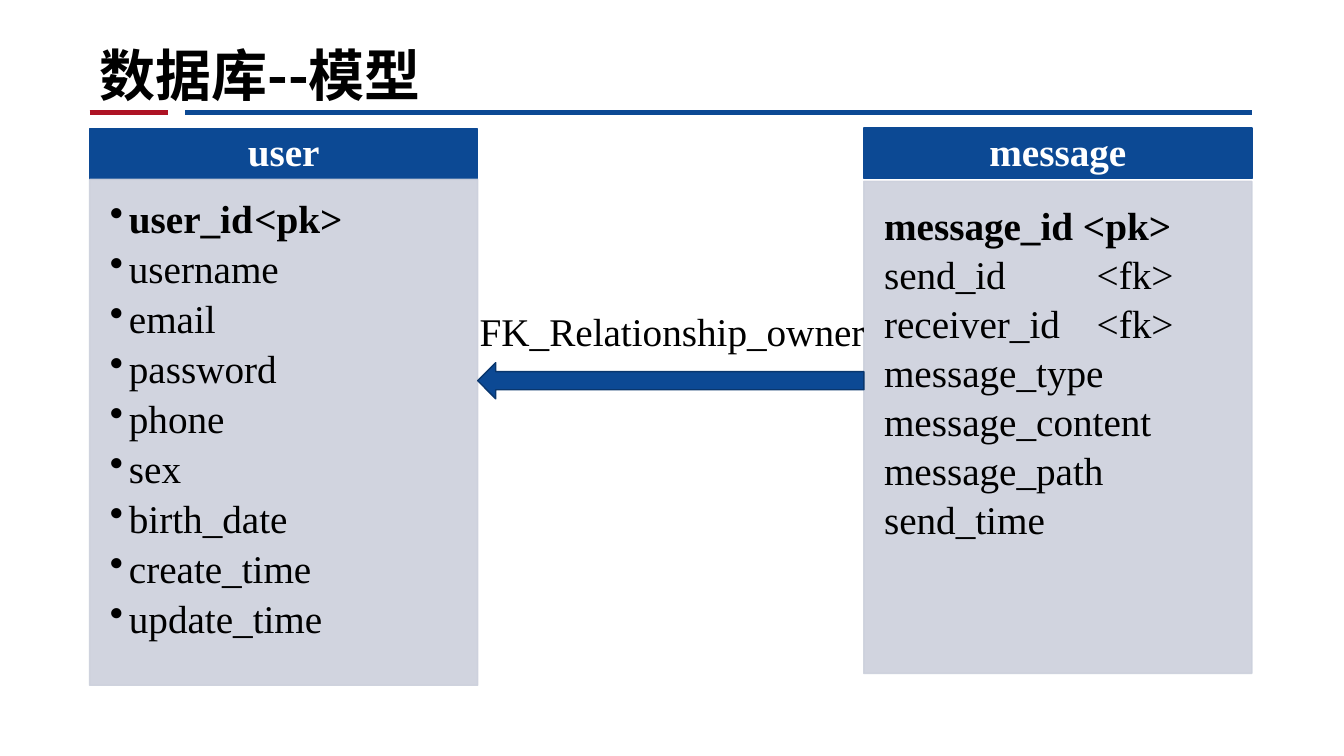
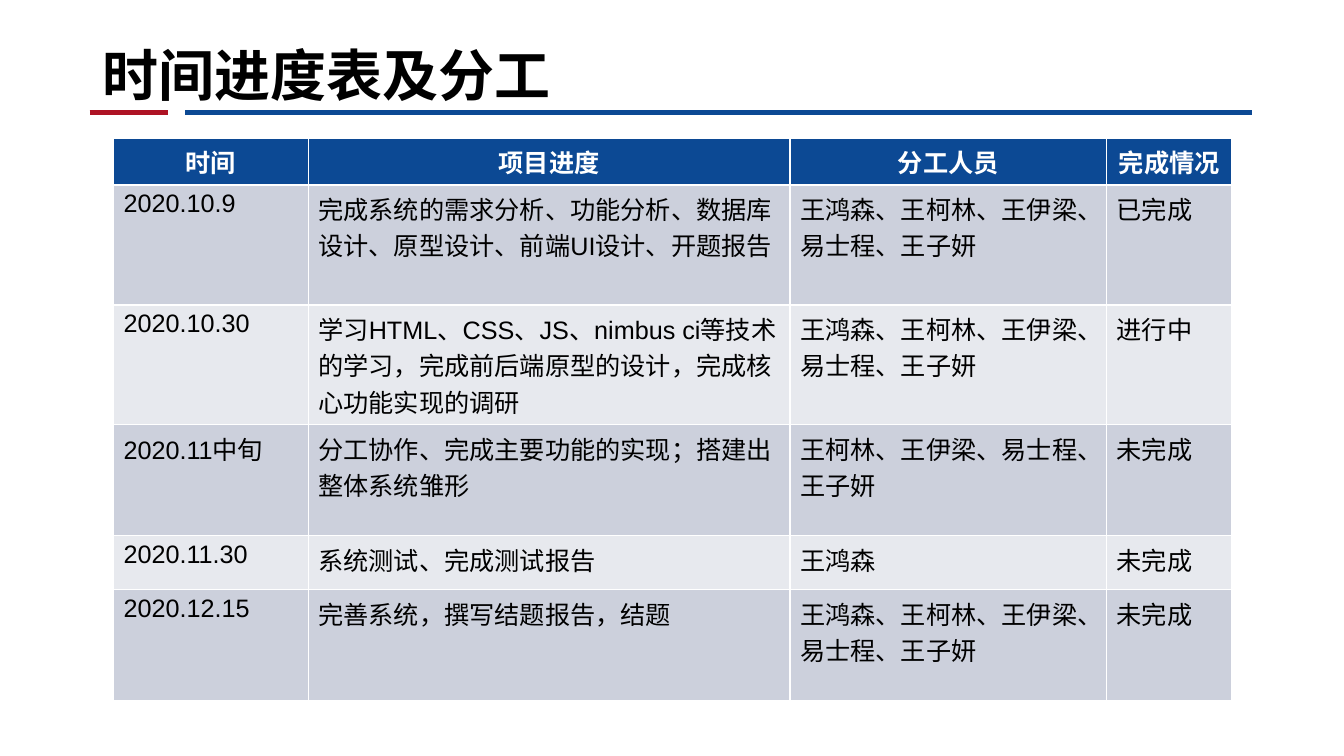
"""Build the database model slide and the schedule slide."""
import pptx
import pptx.util
import pptx.dml.color
import pptx.enum.shapes
import pptx.enum.text
import pptx.oxml.ns
from lxml import etree

Cm, Pt = pptx.util.Cm, pptx.util.Pt
SHAPE = pptx.enum.shapes.MSO_SHAPE
ALIGN = pptx.enum.text.PP_ALIGN
ANCHOR = pptx.enum.text.MSO_ANCHOR
qn = pptx.oxml.ns.qn

COLORS = {"blue": "0C4994", "edge": "09366D", "red": "AE1324", "panel": "CCD0DC",
          "band": "E7E9EE", "white": "FFFFFF", "black": "000000"}
CJK = "Noto Sans CJK SC"
SERIF = "Times New Roman"

RULES = [(2.26, 4.24, "red"), (4.67, 31.55, "blue")]
RULE_Y = 2.84
TITLES = {"model": ("数据库--模型", 2.26, CJK),
          "schedule": ("时间进度表及分工", 2.34, "Roboto Condensed")}

ENTITY_W, HEAD_H = 9.78, 1.27
ENTITIES = [
    {"name": "user", "left": 2.26, "top": 3.25, "body": (4.52, 12.75), "bullet": True,
     "tab": 3.64, "format": {"line_spacing": 0.9, "space_after": Pt(5.5)},
     "fields": ["user_id\t<pk>", "username", "email", "password", "phone", "sex",
                "birth_date", "create_time", "update_time"]},
    {"name": "message", "left": 21.77, "top": 3.23, "body": (4.57, 12.4), "bullet": False,
     "tab": 5.36, "format": {"space_after": Pt(1.4)},
     "fields": ["message_id <pk>", "send_id\t<fk>", "receiver_id\t<fk>", "message_type",
                "message_content", "message_path", "send_time"]},
]
RELATION = "FK_Relationship_owner"

TEAM = "王鸿森、王柯林、王伊梁、易士程、王子妍"
SCHEDULE = [
    ("时间", "项目进度", "分工人员", "完成情况"),
    ("2020.10.9", "完成系统的需求分析、功能分析、数据库设计、原型设计、前端UI设计、开题报告", TEAM, "已完成"),
    ("2020.10.30", "学习HTML、CSS、JS、nimbus ci等技术的学习，完成前后端原型的设计，完成核心功能实现的调研",
     TEAM, "进行中"),
    ("2020.11中旬", "分工协作、完成主要功能的实现；搭建出整体系统雏形", "王柯林、王伊梁、易士程、王子妍", "未完成"),
    ("2020.11.30", "系统测试、完成测试报告", "王鸿森", "未完成"),
    ("2020.12.15", "完善系统，撰写结题报告，结题", TEAM, "未完成"),
]
COL_W = [4.91, 12.14, 7.98, 3.15]
ROW_H = [1.17, 3.02, 3.02, 2.8, 1.36, 2.8]


def rgb(name):
    return pptx.dml.color.RGBColor.from_string(COLORS[name])


def apply(obj, values):
    for key, value in values.items():
        setattr(obj, key, value)


def write(p, text, size, font, color="black", bold=False):
    r = p.add_run()
    r.text = text
    apply(r.font, {"size": Pt(size), "name": font, "bold": bold})
    r.font.color.rgb = rgb(color)
    etree.SubElement(r.font._element, qn("a:ea"), typeface=CJK)


def add_box(s, kind, box, fill, edge, alpha=None):
    sp = s.shapes.add_shape(kind, *map(Cm, box))
    sp.shadow.inherit = False
    sp.fill.solid()
    sp.fill.fore_color.rgb = rgb(fill)
    sp.line.color.rgb = rgb(edge)
    sp.line.width = Pt(1)
    if alpha:
        for clr in sp.element.spPr.iter(qn("a:srgbClr")):
            etree.SubElement(clr, qn("a:alpha"), val=str(alpha * 1000))
    return sp


def add_rules(s, layout):
    for x1, x2, color in RULES:
        c = s.shapes.add_connector(pptx.enum.shapes.MSO_CONNECTOR.STRAIGHT,
                                   Cm(x1), Cm(RULE_Y), Cm(x2), Cm(RULE_Y))
        c.line.color.rgb = rgb(color)
        c.line.width = Pt(3.5)
        etree.SubElement(c.element.spPr, qn("a:effectLst"))
        layout.shapes.element.append(c.element)


def add_slide(prs, layout, key):
    text, left, font = TITLES[key]
    s = prs.slides.add_slide(layout)
    title = s.shapes.title
    apply(title, {"left": Cm(left), "top": Cm(0), "width": Cm(31.55 - left),
                  "height": Cm(RULE_Y)})
    title.text_frame.vertical_anchor = ANCHOR.BOTTOM
    p = title.text_frame.paragraphs[0]
    p.alignment = ALIGN.LEFT
    write(p, text, 40, font, bold=True)
    return s


def add_entity(s, entity):
    left = entity["left"]
    head = add_box(s, SHAPE.RECTANGLE, (left, entity["top"], ENTITY_W, HEAD_H), "blue", "blue")
    p = head.text_frame.paragraphs[0]
    apply(p, {"alignment": ALIGN.CENTER, "line_spacing": 0.9})
    write(p, entity["name"], 28, SERIF, "white", True)

    top, height = entity["body"]
    body = add_box(s, SHAPE.RECTANGLE, (left, top, ENTITY_W, height), "panel", "panel", 90)
    tf = body.text_frame
    apply(tf, {"vertical_anchor": ANCHOR.TOP, "margin_left": Cm(0.51), "margin_top": Cm(0.5),
               "margin_right": Cm(0.3), "margin_bottom": Cm(0.36)})
    for i, field in enumerate(entity["fields"]):
        p = tf.add_paragraph() if i else tf.paragraphs[0]
        apply(p, {"alignment": ALIGN.LEFT, **entity["format"]})
        pPr = p._p.get_or_add_pPr()
        if entity["bullet"]:
            apply_indent = {"marL": Cm(0.48), "indent": Cm(-0.48)}
            for key, value in apply_indent.items():
                pPr.set(key, str(value))
            clr = etree.SubElement(pPr, qn("a:buClr"))
            etree.SubElement(clr, qn("a:srgbClr"), val=COLORS["black"])
            etree.SubElement(pPr, qn("a:buChar"), char="•")
        if "\t" in field:
            tabs = etree.SubElement(pPr, qn("a:tabLst"))
            etree.SubElement(tabs, qn("a:tab"), pos=str(Cm(entity["tab"])), algn="l")
        write(p, field, 28, SERIF, bold=i == 0)


def add_relation(s):
    start = ENTITIES[0]["left"] + ENTITY_W
    width = ENTITIES[1]["left"] - start
    add_box(s, SHAPE.LEFT_ARROW, (start, 9.14, width, 0.91), "blue", "edge")
    sp = s.shapes.add_textbox(Cm(start - 0.2), Cm(7.62), Cm(10.31), Cm(1.45))
    sp.text_frame.word_wrap = False
    write(sp.text_frame.paragraphs[0], RELATION, 28, SERIF)


def add_schedule(s):
    table = s.shapes.add_table(len(SCHEDULE), len(COL_W), Cm(2.86), Cm(3.49),
                               Cm(sum(COL_W)), Cm(sum(ROW_H))).table
    for col, width in zip(table.columns, COL_W):
        col.width = Cm(width)
    for i, (row, height) in enumerate(zip(SCHEDULE, ROW_H)):
        table.rows[i].height = Cm(height)
        head = i == 0
        for j, text in enumerate(row):
            cell = table.cell(i, j)
            cell.fill.solid()
            cell.fill.fore_color.rgb = rgb("blue" if head else "panel" if i % 2 else "band")
            p = cell.text_frame.paragraphs[0]
            p.alignment = ALIGN.CENTER if head else ALIGN.LEFT
            write(p, text, 18, "Arial", "white" if head else "black", head)


def main():
    prs = pptx.Presentation()
    apply(prs, {"slide_width": Cm(33.87), "slide_height": Cm(19.05)})
    layout = prs.slide_layouts.get_by_name("Title Only")
    model = add_slide(prs, layout, "model")
    add_rules(model, layout)
    for entity in ENTITIES:
        add_entity(model, entity)
    add_relation(model)
    add_schedule(add_slide(prs, layout, "schedule"))
    prs.save("out.pptx")


if __name__ == "__main__":
    main()
